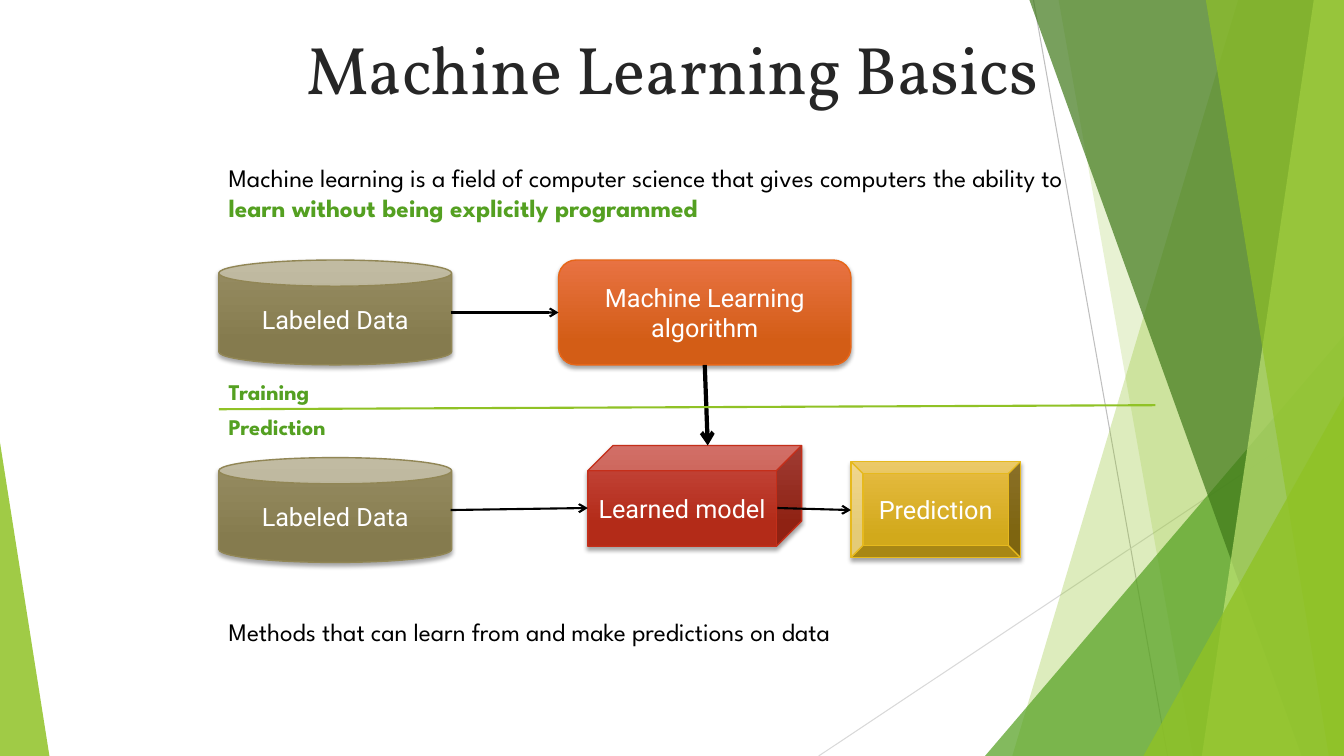
from lxml.etree import SubElement
from pptx import Presentation
from pptx.dml.color import RGBColor
from pptx.enum.shapes import MSO_CONNECTOR, MSO_SHAPE
from pptx.enum.text import MSO_ANCHOR, MSO_AUTO_SIZE, PP_ALIGN
from pptx.oxml.ns import qn
from pptx.util import Inches, Pt

LIME = RGBColor(0x90, 0xC2, 0x26)
PALE_LIME = RGBColor(0xC0, 0xE4, 0x74)
GREEN = RGBColor(0x54, 0xA0, 0x21)
DARK_GREEN = RGBColor(0x3F, 0x78, 0x19)
GREY = RGBColor(0xBF, 0xBF, 0xBF)
LIGHT_GREY = RGBColor(0xD9, 0xD9, 0xD9)
BLACK = RGBColor(0x00, 0x00, 0x00)
WHITE = RGBColor(0xFF, 0xFF, 0xFF)
INK = RGBColor(0x26, 0x26, 0x26)
OLIVE = [RGBColor(0x98, 0x8E, 0x64), RGBColor(0x85, 0x7B, 0x4E), RGBColor(0x91, 0x86, 0x55)]
ORANGE = [RGBColor(0xE8, 0x72, 0x42), RGBColor(0xD3, 0x5D, 0x16), RGBColor(0xE7, 0x66, 0x18)]
RED = [RGBColor(0xC7, 0x4B, 0x42), RGBColor(0xB3, 0x2B, 0x18), RGBColor(0xC4, 0x2F, 0x1A)]
GOLD = [RGBColor(0xE7, 0xBC, 0x43), RGBColor(0xD2, 0xA9, 0x1B), RGBColor(0xE6, 0xB9, 0x1E)]


def add_line(s, x1, y1, x2, y2, color, width, arrow=False):
    """Draw a straight line, with an arrowhead at its end if asked."""
    line = s.shapes.add_connector(
        MSO_CONNECTOR.STRAIGHT, Inches(x1), Inches(y1), Inches(x2), Inches(y2))
    line.line.color.rgb = color
    line.line.width = Pt(width)
    spPr = line._element.spPr
    if arrow:
        SubElement(spPr.find(qn("a:ln")), qn("a:tailEnd"), type="arrow")
    SubElement(spPr, qn("a:effectLst"))
    return line


def tint(shape, color, alpha):
    """Give a shape a flat see-through fill and no outline."""
    shape.shadow.inherit = False
    shape.fill.solid()
    shape.fill.fore_color.rgb = color
    shape.line.fill.background()
    clr = shape._element.spPr.find(qn("a:solidFill")).find(qn("a:srgbClr"))
    SubElement(clr, qn("a:alpha"), val=str(alpha * 1000))


def add_backdrop(s, x, y, w, h):
    """Draw the layered green facets along the edges of the box."""
    right, bottom = x + w, y + h

    def panel(top_inset, bottom_inset, color, alpha):
        """Fill from a slanted left edge to the right side of the box."""
        fb = s.shapes.build_freeform(Inches(right - top_inset), Inches(y))
        fb.add_line_segments([
            (Inches(right), Inches(y)), (Inches(right), Inches(bottom)),
            (Inches(right - bottom_inset), Inches(bottom))])
        tint(fb.convert_to_shape(), color, alpha)

    def wedge(left, width, height, apex, color, alpha):
        """Stand a right-angled triangle on the bottom of the box."""
        shape = s.shapes.add_shape(
            MSO_SHAPE.ISOSCELES_TRIANGLE, Inches(left), Inches(bottom - height),
            Inches(width), Inches(height))
        shape.adjustments[0] = apex
        tint(shape, color, alpha)

    add_line(s, right - 3.08, y, right - 1.75, bottom, GREY, 0.75)
    add_line(s, right, y + 4.03, right - 5.21, bottom, LIGHT_GREY, 0.75)
    panel(1.05, 3.29, LIME, 30)
    panel(2.83, 1.5, LIME, 20)
    wedge(right - 3.56, 3.56, 4.17, 1, GREEN, 72)
    panel(3.12, 0.42, DARK_GREEN, 70)
    panel(0.3, 1.41, PALE_LIME, 70)
    panel(1.37, 0.15, LIME, 65)
    wedge(right - 1.99, 1.99, 3.57, 1, LIME, 80)
    wedge(x, 0.49, 3.11, 0, LIME, 85)


def add_title(s, x, y, w, h, text):
    """Place and format the title placeholder."""
    title = s.shapes.title
    title.left, title.top, title.width, title.height = map(Inches, (x, y, w, h))
    tf = title.text_frame
    tf.text = text
    tf.word_wrap = True
    tf.auto_size = MSO_AUTO_SIZE.NONE
    tf.vertical_anchor = MSO_ANCHOR.MIDDLE
    p = tf.paragraphs[0]
    p.alignment = PP_ALIGN.CENTER
    p.font.name, p.font.size, p.font.color.rgb = "Vollkorn", Pt(48), INK


def add_text(s, x, y, w, h, plain="", strong="", size=18, wrap=True):
    """Write plain black text followed by bold green text."""
    tf = s.shapes.add_textbox(Inches(x), Inches(y), Inches(w), Inches(h)).text_frame
    tf.word_wrap = wrap
    tf.auto_size = MSO_AUTO_SIZE.SHAPE_TO_FIT_TEXT
    p = tf.paragraphs[0]
    p.font.name, p.font.size = "League Spartan", Pt(size)
    for text, color, bold in ((plain, BLACK, False), (strong, GREEN, True)):
        if text:
            r = p.add_run()
            r.text = text
            r.font.color.rgb, r.font.bold = color, bold


def add_node(s, kind, x, y, w, h, text, colors):
    """Draw a shaded, labelled shape of the diagram."""
    node = s.shapes.add_shape(kind, Inches(x), Inches(y), Inches(w), Inches(h))
    top, base, edge = colors
    node.fill.gradient()
    node.fill.gradient_angle = 270
    for stop, color, position in zip(node.fill.gradient_stops, (top, base), (0, 0.78)):
        stop.color.rgb, stop.position = color, position
    node.line.color.rgb, node.line.width = edge, Pt(1)
    node.shadow.inherit = False
    shadow = SubElement(
        node._element.spPr.find(qn("a:effectLst")), qn("a:outerShdw"),
        blurRad=str(Pt(3)), dist=str(Pt(2)), dir="5400000", rotWithShape="0")
    clr = SubElement(shadow, qn("a:srgbClr"), val="000000")
    SubElement(clr, qn("a:alpha"), val="35000")
    tf = node.text_frame
    tf.text = text
    tf.word_wrap = True
    tf.vertical_anchor = MSO_ANCHOR.MIDDLE
    p = tf.paragraphs[0]
    p.alignment = PP_ALIGN.CENTER
    p.font.name, p.font.size, p.font.color.rgb = "Roboto", Pt(18), WHITE
    return node


def add_diagram(s, x, y, w, h):
    """Draw the training flow above the prediction flow."""
    bottom = y + h
    for top in (y, bottom - 1.04):
        add_node(s, MSO_SHAPE.CAN, x, top, 2.31, 1.04, "Labeled Data", OLIVE)
    algorithm = add_node(s, MSO_SHAPE.ROUNDED_RECTANGLE, x + 3.37, y, 2.9, 1.04,
                         "Machine Learning algorithm", ORANGE)
    add_node(s, MSO_SHAPE.CUBE, x + 3.66, y + 1.84, 2.12, 1, "Learned model", RED)
    add_node(s, MSO_SHAPE.BEVEL, x + 6.27, y + 2, 1.68, 0.95, "Prediction", GOLD)

    train = add_line(s, x + 2.3, y + 0.52, x + 3.37, y + 0.52, BLACK, 1.5, True)
    train.end_connect(algorithm, 1)
    add_line(s, x + 2.3, y + 2.48, x + 3.66, y + 2.46, BLACK, 1.5, True)
    add_line(s, x + 5.54, y + 2.46, x + 6.27, y + 2.48, BLACK, 1.5, True)
    learn = add_line(s, x + 4.82, y + 1.04, x + 4.85, y + 1.84, BLACK, 3, True)
    learn.begin_connect(algorithm, 2)

    add_line(s, x, y + 1.48, x + w, y + 1.44, LIME, 1.5)
    add_text(s, x, y + 1.12, 1.04, 0.37, strong="Training", size=16, wrap=False)
    add_text(s, x, y + 1.47, 1.29, 0.37, strong="Prediction", size=16, wrap=False)


def main():
    """Build the slide and save it."""
    prs = Presentation()
    prs.slide_width, prs.slide_height = Inches(13.33), Inches(7.5)
    s = prs.slides.add_slide(prs.slide_layouts[5])
    add_backdrop(s, 0, 0, 13.33, 7.5)
    add_title(s, 2.27, 0.2, 8.8, 0.94, "Machine Learning Basics")
    add_text(s, 2.17, 1.56, 8.64, 0.71,
             "Machine learning is a field of computer science that gives computers the ability to ",
             "learn without being explicitly programmed")
    add_diagram(s, 2.17, 2.58, 9.29, 3)
    add_text(s, 2.17, 6.07, 9.29, 0.4,
             "Methods that can learn from and make predictions on data")
    prs.save("out.pptx")


if __name__ == "__main__":
    main()
